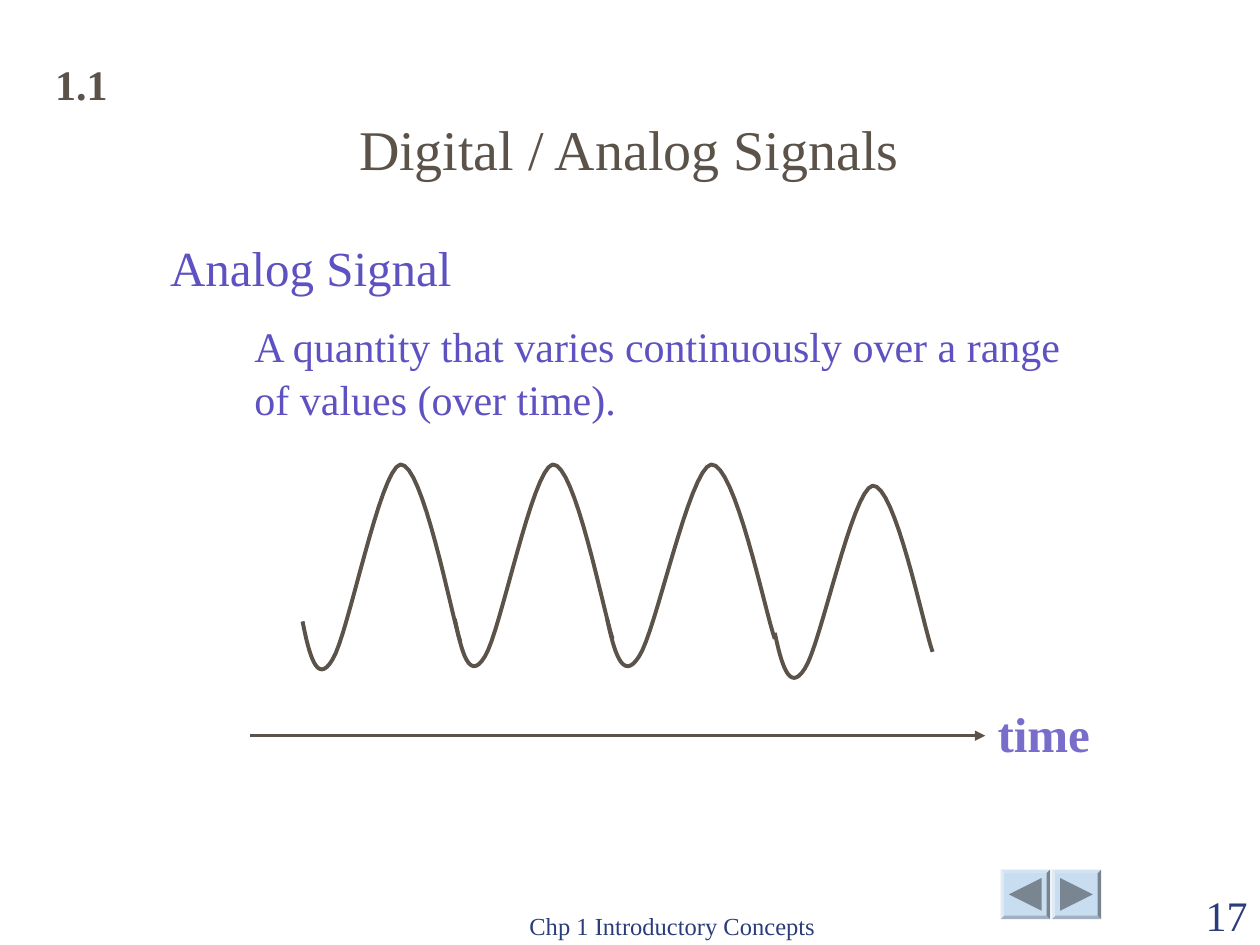
"""Build the analog signal slide."""
from pptx import Presentation
from pptx.dml.color import RGBColor
from pptx.enum.shapes import MSO_CONNECTOR, MSO_SHAPE
from pptx.enum.text import MSO_ANCHOR as ANCHOR, PP_ALIGN as ALIGN
from pptx.oxml.ns import qn
from pptx.util import Cm, Pt
from lxml.etree import SubElement

BROWN = RGBColor(0x5B, 0x52, 0x49)
VIOLET = RGBColor(0x5E, 0x51, 0xC1)
LILAC = RGBColor(0x78, 0x6D, 0xCB)
NAVY = RGBColor(0x2A, 0x3D, 0x7A)
PALE_BLUE = RGBColor(0xC9, 0xDD, 0xF1)
STEEL = RGBColor(0x79, 0x85, 0x91)
FONT = "Times New Roman"


def style(p, size, color, bold=False):
    p.font.name = FONT
    p.font.size = Pt(size)
    p.font.bold = bold
    p.font.color.rgb = color


def add_text(box, text, size, color, bold=False, align=ALIGN.LEFT, anchor=ANCHOR.TOP):
    tf = s.shapes.add_textbox(*[Cm(v) for v in box]).text_frame
    tf.word_wrap = True
    tf.vertical_anchor = anchor
    p = tf.paragraphs[0]
    p.text = text
    p.alignment = align
    style(p, size, color, bold)
    return tf


prs = Presentation()
prs.slide_width, prs.slide_height = Cm(25.4), Cm(19.05)
s = prs.slides.add_slide(prs.slide_layouts[6])

for left, rotation in ((20.17, -90), (21.2, 90)):
    button = s.shapes.add_shape(MSO_SHAPE.BEVEL, Cm(left), Cm(17.53), Cm(1), Cm(1))
    button.adjustments[0] = 0.07
    arrow = s.shapes.add_shape(MSO_SHAPE.ISOSCELES_TRIANGLE,
                               Cm(left + 0.17), Cm(17.7), Cm(0.66), Cm(0.66))
    arrow.rotation = rotation
    for shape, color in ((button, PALE_BLUE), (arrow, STEEL)):
        shape.shadow.inherit = False
        shape.fill.solid()
        shape.fill.fore_color.rgb = color
        shape.line.fill.background()

add_text((9.53, 17.81, 8.05, 1.27), "Chp 1 Introductory Concepts", 14, NAVY,
         align=ALIGN.CENTER, anchor=ANCHOR.BOTTOM)
add_text((22.86, 17.81, 2.54, 1.27), "17", 24, NAVY, align=ALIGN.RIGHT, anchor=ANCHOR.BOTTOM)
add_text((1.57, 2.09, 22.23, 1.7), "Digital / Analog Signals", 32, BROWN,
         align=ALIGN.CENTER, anchor=ANCHOR.BOTTOM)
add_text((0.86, 1.06, 2.2, 1.27), "1.1", 24, BROWN, bold=True)

tf = add_text((3.18, 4.59, 19.05, 4.47), "Analog Signal", 28, VIOLET)
tf.paragraphs[0].line_spacing = 1.06
p = tf.add_paragraph()
p.text = "A quantity that varies continuously over a range of values (over time)."
p._p.get_or_add_pPr().set("marL", str(Cm(1.7)))
p.line_spacing = 1.06
p.space_before = Pt(12)
style(p, 24, VIOLET)

WAVE = [(0, 0.71), (0.04, 0.85), (0.09, 1), (0.19, 0.88), (0.29, 0.77),
        (0.49, 0.03), (0.62, 0.01), (0.76, 0), (0.94, 0.67), (1, 0.8)]
STEPS = 16
curve = [WAVE[0]]
for k in range(0, 9, 3):
    for n in range(1, STEPS + 1):
        t = n / STEPS
        weights = ((1 - t) ** 3, 3 * t * (1 - t) ** 2, 3 * t * t * (1 - t), t ** 3)
        curve.append(tuple(sum(w * pt[axis] for w, pt in zip(weights, WAVE[k:k + 4]))
                           for axis in (0, 1)))

waves = [(6.1, 9.32, 3.18, 4.52), (9.17, 9.32, 3.18, 4.45),
         (12.24, 9.32, 3.38, 4.45), (15.62, 9.75, 3.18, 4.24)]
for left, top, width, height in waves:
    points = [(Cm(left + x * width), Cm(top + y * height)) for x, y in curve]
    builder = s.shapes.build_freeform(*points[0])
    builder.add_line_segments(points[1:], close=False)
    wave = builder.convert_to_shape()
    wave.shadow.inherit = False
    wave.fill.background()
    wave.line.color.rgb = BROWN
    wave.line.width = Pt(2.25)

time_axis = s.shapes.add_connector(MSO_CONNECTOR.STRAIGHT, Cm(5.03), Cm(14.83), Cm(19.86), Cm(14.83))
time_axis.line.color.rgb = BROWN
time_axis.line.width = Pt(1.5)
SubElement(time_axis.line._get_or_add_ln(), qn("a:tailEnd"), type="triangle")
SubElement(time_axis._element.spPr, qn("a:effectLst"))
add_text((19.86, 14.05, 3.2, 1.45), "time", 28, LILAC, bold=True)

prs.save("out.pptx")
